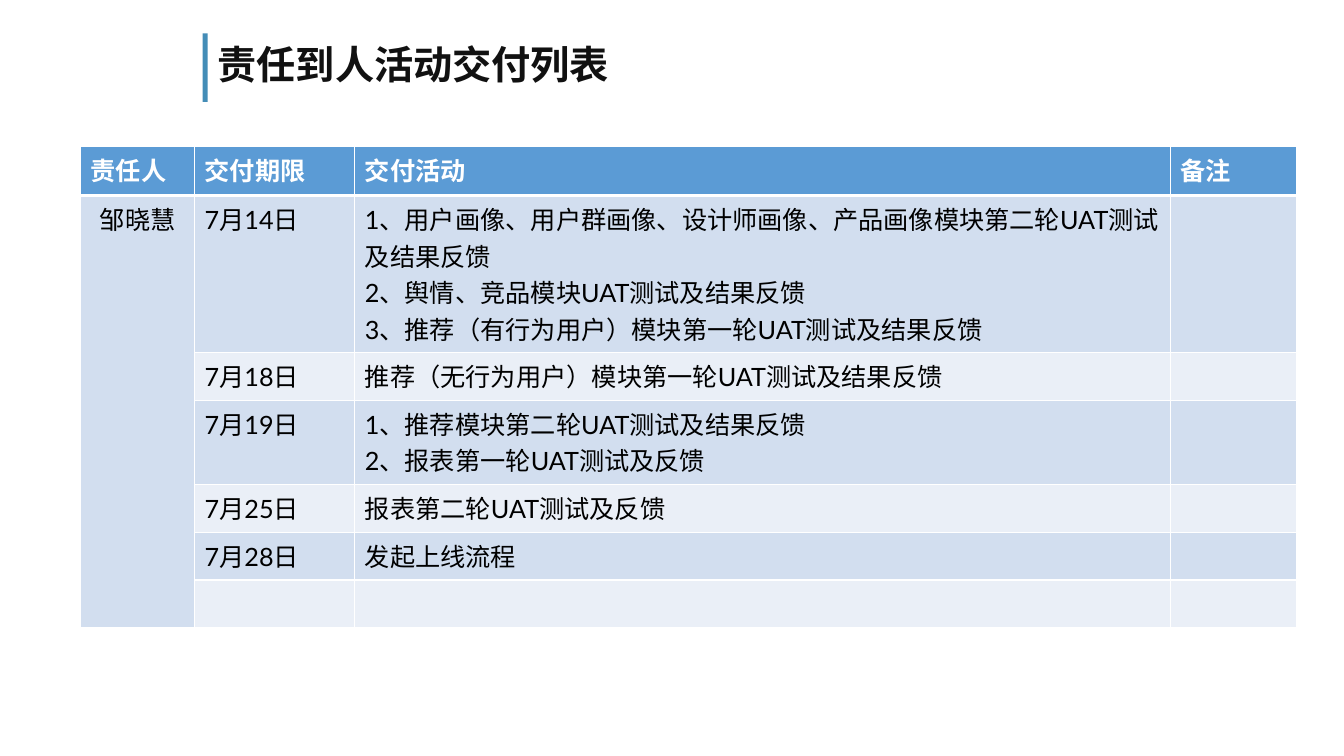
from lxml.etree import SubElement
from pptx import Presentation
from pptx.dml.color import RGBColor
from pptx.enum.shapes import MSO_SHAPE as Shape
from pptx.enum.text import MSO_ANCHOR as Anchor, PP_ALIGN as Align
from pptx.oxml import parse_xml
from pptx.oxml.ns import nsdecls, qn
from pptx.util import Inches, Pt

WHITE = RGBColor(0xFF, 0xFF, 0xFF)
BLACK = RGBColor(0x00, 0x00, 0x00)
TITLE_INK = RGBColor(0x11, 0x11, 0x11)
ACCENT = RGBColor(0x44, 0x8D, 0xB7)
HEADER_FILL = RGBColor(0x5B, 0x9B, 0xD5)
BAND_FILLS = (RGBColor(0xD2, 0xDE, 0xEF), RGBColor(0xEA, 0xEF, 0xF7))

BODY_FONT = "Lato"
CHINESE_FONT = "Noto Sans CJK SC"

COLUMN_WIDTHS = (1.13, 1.59, 8.09, 1.25)
HEADER_HEIGHT, ROW_HEIGHT = 0.49, 0.475
LINE_HEIGHT = 0.36  # each further line of text in a row

HEADERS = ("责任人", "交付期限", "交付活动", "备注")
OWNER = "邹晓慧"
# Deadline, activity, lines the activity takes once wrapped
DELIVERIES = (
    ("7月14日", "1、用户画像、用户群画像、设计师画像、产品画像模块第二轮UAT测试及结果反馈\n"
                "2、舆情、竞品模块UAT测试及结果反馈\n"
                "3、推荐（有行为用户）模块第一轮UAT测试及结果反馈", 4),
    ("7月18日", "推荐（无行为用户）模块第一轮UAT测试及结果反馈", 1),
    ("7月19日", "1、推荐模块第二轮UAT测试及结果反馈\n2、报表第一轮UAT测试及反馈", 2),
    ("7月25日", "报表第二轮UAT测试及反馈", 1),
    ("7月28日", "发起上线流程", 1),
    ("", "", 1),
)


def format_text(text_frame, font_name, size, color, bold=False):
    for paragraph in text_frame.paragraphs:
        for run in paragraph.runs:
            font = run.font
            font.name, font.size, font.bold = font_name, Pt(size), bold
            font.color.rgb = color
            east_asian = SubElement(font._element, qn("a:ea"))
            east_asian.set("typeface", CHINESE_FONT)


def set_borders(cell, bottom_width):
    properties = cell._tc.get_or_add_tcPr()
    widths = {"lnL": 1, "lnR": 1, "lnT": 1, "lnB": bottom_width}
    for position, (side, width) in enumerate(widths.items()):
        properties.insert(position, parse_xml(
            f'<a:{side} {nsdecls("a")} w="{Pt(width)}"><a:solidFill>'
            f'<a:srgbClr val="{WHITE}"/></a:solidFill></a:{side}>'))


def fill_cell(cell, text, fill, color, bold=False, bottom_width=1):
    cell.text_frame.text = text
    format_text(cell.text_frame, BODY_FONT, 18, color, bold)
    cell.fill.solid()
    cell.fill.fore_color.rgb = fill
    set_borders(cell, bottom_width)


def add_title(slide, text):
    # Accent bar
    bar = slide.shapes.add_shape(
        Shape.RECTANGLE, Inches(2.01), Inches(0.33), Inches(0.05), Inches(0.68))
    bar.shadow.inherit = False
    bar.fill.solid()
    bar.fill.fore_color.rgb = ACCENT
    bar.line.fill.background()

    # Heading
    box = slide.shapes.add_textbox(
        Inches(2.06), Inches(0.33), Inches(9.2), Inches(0.66))
    text_frame = box.text_frame
    text_frame.word_wrap = True
    text_frame.vertical_anchor = Anchor.MIDDLE
    text_frame.text = text
    text_frame.paragraphs[0].line_spacing = 0.9
    format_text(text_frame, CHINESE_FONT, 28, TITLE_INK, bold=True)


def add_delivery_table(slide):
    row_heights = [HEADER_HEIGHT] + [
        ROW_HEIGHT + LINE_HEIGHT * (lines - 1) for _, _, lines in DELIVERIES]
    table = slide.shapes.add_table(
        len(row_heights), len(COLUMN_WIDTHS), Inches(0.8), Inches(1.45),
        Inches(sum(COLUMN_WIDTHS)), Inches(sum(row_heights))).table
    for column, width in zip(table.columns, COLUMN_WIDTHS):
        column.width = Inches(width)
    for row, height in zip(table.rows, row_heights):
        row.height = Inches(height)

    # Header row
    for column, header in enumerate(HEADERS):
        fill_cell(table.cell(0, column), header, HEADER_FILL, WHITE,
                  bold=True, bottom_width=3)

    # Delivery rows in alternating bands
    for row, (deadline, activity, _) in enumerate(DELIVERIES, start=1):
        band = BAND_FILLS[(row - 1) % 2]
        for column, text in enumerate((deadline, activity, ""), start=1):
            fill_cell(table.cell(row, column), text, band, BLACK)

    # Owner, spanning all deliveries
    owner = table.cell(1, 0)
    owner.merge(table.cell(len(DELIVERIES), 0))
    fill_cell(owner, OWNER, BAND_FILLS[0], BLACK)
    owner.text_frame.paragraphs[0].alignment = Align.CENTER


def main():
    presentation = Presentation()
    presentation.slide_width = Inches(13.33)
    presentation.slide_height = Inches(7.5)
    slide = presentation.slides.add_slide(presentation.slide_layouts[6])
    add_title(slide, "责任到人活动交付列表")
    add_delivery_table(slide)
    presentation.save("out.pptx")


if __name__ == "__main__":
    main()
